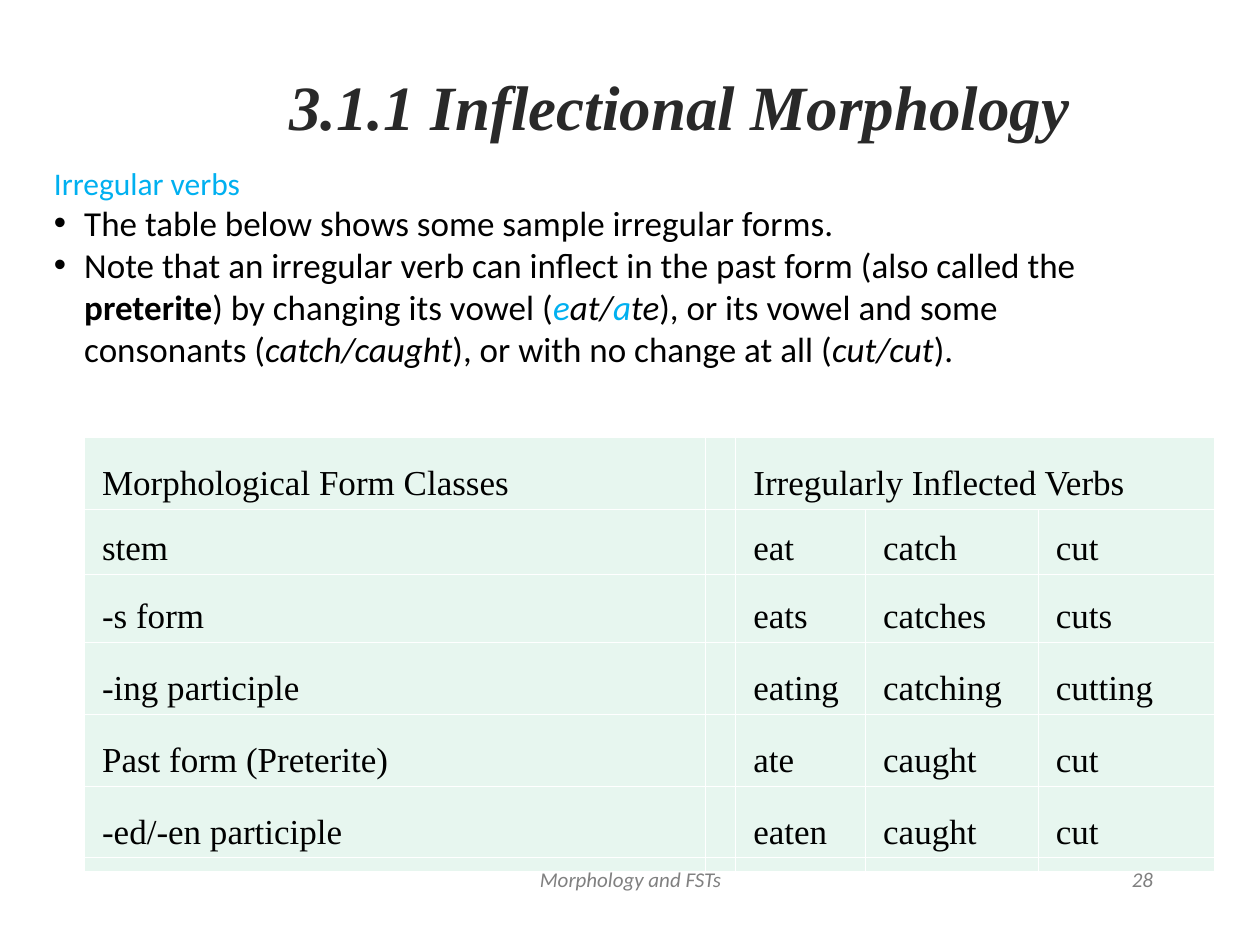
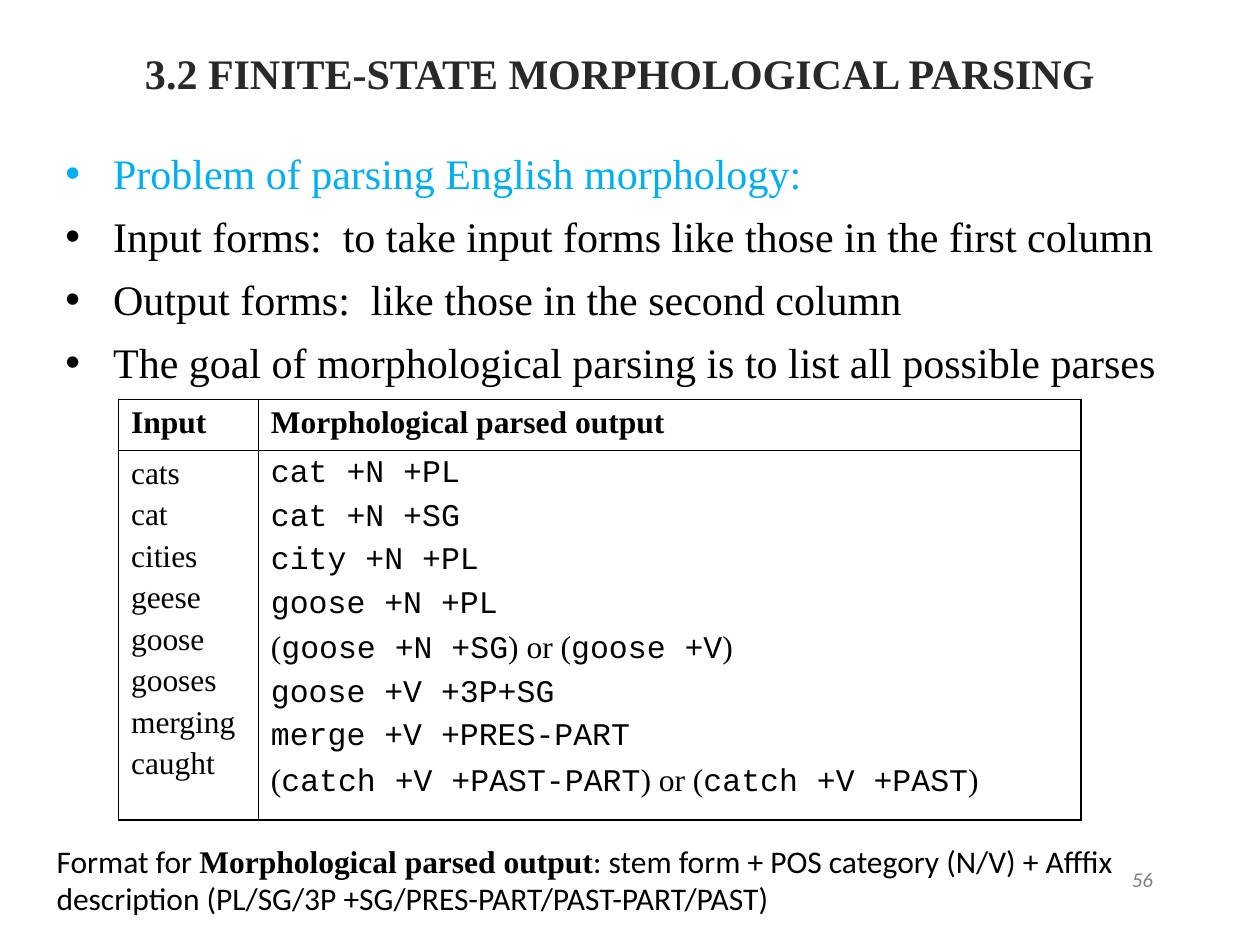
from lxml.etree import SubElement
from pptx import Presentation
from pptx.dml.color import RGBColor
from pptx.enum.text import MSO_ANCHOR as Anchor, PP_ALIGN as Align
from pptx.oxml import parse_xml
from pptx.oxml.ns import nsdecls, qn
from pptx.util import Inches, Pt

SERIF, SANS, MONO = "Times New Roman", "Calibri", "Courier New"
INK, TITLE_INK, ACCENT, FOOTER_INK = "000000", "292929", "00B0F0", "808080"
MINT, WHITE = "E7F6EF", "FFFFFF"
THIN, THICK = 0.45, 1.08
NUMBER_BOX = (7.17, 6.83, 2.08, 0.5)
FOOTER_BOX = (3.42, 6.83, 3.17, 0.5)

VERB_ROWS = [
    ["Morphological Form Classes", "", "Irregularly Inflected Verbs", "", ""],
    ["stem", "", "eat", "catch", "cut"],
    ["-s form", "", "eats", "catches", "cuts"],
    ["-ing participle", "", "eating", "catching", "cutting"],
    ["Past form (Preterite)", "", "ate", "caught", "cut"],
    ["-ed/-en participle", "", "eaten", "caught", "cut"],
    [""] * 5,
]
PARSES = [
    ("cats", ["cat +N +PL"]),
    ("cat", ["cat +N +SG"]),
    ("cities", ["city +N +PL"]),
    ("geese", ["goose +N +PL"]),
    ("goose", ["goose +N +SG", "goose +V"]),
    ("gooses", ["goose +V +3P+SG"]),
    ("merging", ["merge +V +PRES-PART"]),
    ("caught", ["catch +V +PAST-PART", "catch +V +PAST"]),
]


def rgb(value):
    return RGBColor.from_string(value)


def write(paragraph, runs, size, face=SANS, color=INK, bold=False, italic=False):
    base = dict(face=face, color=color, bold=bold, italic=italic)
    for text, changes in runs:
        look = {**base, **changes}
        run = paragraph.add_run()
        run.text = text
        run.font.size = Pt(size)
        run.font.name = look["face"]
        run.font.color.rgb = rgb(look["color"])
        run.font.bold = look["bold"]
        run.font.italic = look["italic"]


def next_paragraph(frame, space=0):
    first = frame.paragraphs[0]
    if not first.runs:
        return first
    paragraph = frame.add_paragraph()
    paragraph.space_before = Pt(space)
    return paragraph


def add_bullet(paragraph, color, indent):
    props = paragraph._p.get_or_add_pPr()
    props.set("marL", str(Inches(indent)))
    props.set("indent", str(-Inches(indent)))
    tint = SubElement(props, qn("a:buClr"))
    SubElement(tint, qn("a:srgbClr"), val=color)
    SubElement(props, qn("a:buFont"), typeface="Arial")
    SubElement(props, qn("a:buChar"), char="•")


def text_frame(slide, box, anchor=Anchor.TOP):
    frame = slide.shapes.add_textbox(*map(Inches, box)).text_frame
    frame.word_wrap = True
    frame.vertical_anchor = anchor
    return frame


def add_title(slide, box, text, size, italic=False):
    paragraph = text_frame(slide, box, Anchor.MIDDLE).paragraphs[0]
    paragraph.alignment = Align.CENTER
    write(paragraph, [(text, {})], size, SERIF, TITLE_INK, bold=True, italic=italic)


def add_footer(slide, box, text, align):
    paragraph = text_frame(slide, box).paragraphs[0]
    paragraph.alignment = align
    write(paragraph, [(text, {})], 12, color=FOOTER_INK, italic=True)


def add_grid(slide, box, widths, heights):
    table = slide.shapes.add_table(len(heights), len(widths), *map(Inches, box)).table
    table.first_row = table.horz_banding = False
    for column, width in zip(table.columns, widths):
        column.width = Inches(width)
    for row, height in zip(table.rows, heights):
        row.height = Inches(height)
    return table


def set_borders(cell, color, left, right, top, bottom):
    props = cell._tc.get_or_add_tcPr()
    sides = zip("LRTB", (left, right, top, bottom))
    for place, (side, width) in enumerate(sides):
        props.insert(place, parse_xml(
            f'<a:ln{side} {nsdecls("a")} w="{Pt(width)}"><a:solidFill>'
            f'<a:srgbClr val="{color}"/></a:solidFill></a:ln{side}>'))


def add_verb_notes(slide, box):
    frame = text_frame(slide, box)
    write(next_paragraph(frame), [("Irregular verbs", {})], 18, color=ACCENT)
    slanted, vowel = dict(italic=True), dict(italic=True, color=ACCENT)
    notes = [
        [("The table below shows some sample irregular forms.", {})],
        [("Note that an irregular verb can inflect in the past form (also called the ", {}),
         ("preterite", dict(bold=True)),
         (") by changing its vowel (", {}),
         ("e", vowel), ("at/", slanted), ("a", vowel), ("te", slanted),
         ("), or its vowel and some consonants (", {}),
         ("catch/caught", slanted),
         ("), or with no change at all (", {}),
         ("cut/cut", slanted), (").", {})],
    ]
    for note in notes:
        paragraph = next_paragraph(frame)
        add_bullet(paragraph, INK, 0.24)
        write(paragraph, note, 20)


def add_verb_table(slide, box):
    heights = [0.57, 0.52, 0.54, 0.57, 0.57, 0.57, 0.11]
    table = add_grid(slide, box, [4.93, 0.24, 1.03, 1.37, 1.4], heights)
    for r, row in enumerate(VERB_ROWS):
        for c, word in enumerate(row):
            cell = table.cell(r, c)
            cell.fill.solid()
            cell.fill.fore_color.rgb = rgb(MINT)
            set_borders(cell, WHITE, THIN, THIN, THIN, THIN)
            cell.vertical_anchor = Anchor.BOTTOM
            paragraph = cell.text_frame.paragraphs[0]
            if word:
                cell.margin_left = Inches(0.14)
                paragraph.line_spacing = Pt(11.5)
                write(paragraph, [(word, {})], 20, SERIF)
            else:
                cell.margin_top = cell.margin_bottom = 0
                paragraph.line_spacing = Pt(2)
                SubElement(paragraph._p, qn("a:endParaRPr"), sz="200")
    table.cell(0, 2).merge(table.cell(0, 4))


def add_parsing_points(slide, box):
    frame = text_frame(slide, box)
    points = [
        ("Problem of parsing English morphology:", ACCENT),
        ("Input forms:  to take input forms like those in the first column", INK),
        ("Output forms:  like those in the second column", INK),
        ("The goal of morphological parsing is to list all possible parses", INK),
    ]
    for point, color in points:
        paragraph = next_paragraph(frame, 7.2)
        add_bullet(paragraph, color, 0.38)
        write(paragraph, [(point, {})], 24, SERIF, color)


def parse_runs(parses):
    if len(parses) == 1:
        return [(parses[0], dict(face=MONO))]
    runs = [("(", {})]
    for parse in parses:
        runs += [(parse, dict(face=MONO)), (") or (", {})]
    return runs[:-1] + [(")", {})]


def add_parse_table(slide, box):
    table = add_grid(slide, box, [1.11, 6.53], [0.4, 2.94])
    for r in range(2):
        for c in range(2):
            cell = table.cell(r, c)
            cell.fill.background()
            set_borders(cell, INK, *((THICK, THIN), (THIN, THICK))[c],
                        *((THICK, THIN), (THIN, THICK))[r])
    for c, heading in enumerate(["Input", "Morphological parsed output"]):
        paragraph = table.cell(0, c).text_frame.paragraphs[0]
        write(paragraph, [(heading, {})], 18, SERIF, bold=True)
    words, outputs = (table.cell(1, c).text_frame for c in range(2))
    for word, parses in PARSES:
        write(next_paragraph(words, 3.8), [(word, {})], 18, SERIF)
        write(next_paragraph(outputs, 4.5), parse_runs(parses), 18, SERIF)


def add_format_note(slide, box):
    write(text_frame(slide, box).paragraphs[0], [
        ("Format for ", {}),
        ("Morphological parsed output", dict(face=SERIF, bold=True)),
        (": stem form + POS category (N/V) + Afffix description "
         "(PL/SG/3P +SG/PRES-PART/PAST-PART/PAST)", {}),
    ], 18)


def build_inflection_slide(slide):
    add_title(slide, (0.58, 0.21, 9.75, 1.25), "3.1.1 Inflectional Morphology ", 36, italic=True)
    add_footer(slide, FOOTER_BOX, "Morphology and FSTs", Align.CENTER)
    add_footer(slide, NUMBER_BOX, "28", Align.RIGHT)
    add_verb_table(slide, (0.67, 3.47, 8.97, 3.45))
    add_verb_notes(slide, (0.33, 1.25, 8.75, 1.74))


def build_parsing_slide(slide):
    add_title(slide, (0.67, 0.08, 8.5, 1), "3.2 FINITE-STATE MORPHOLOGICAL PARSING", 24)
    add_parsing_points(slide, (0.42, 1.12, 9.17, 2.25))
    add_footer(slide, NUMBER_BOX, "56", Align.RIGHT)
    add_parse_table(slide, (0.94, 3.17, 7.64, 3.34))
    add_format_note(slide, (0.35, 6.63, 8.82, 0.7))


def main():
    deck = Presentation()
    deck.slide_width, deck.slide_height = Inches(10), Inches(7.5)
    for build in (build_inflection_slide, build_parsing_slide):
        build(deck.slides.add_slide(deck.slide_layouts[6]))
    deck.save("out.pptx")


if __name__ == "__main__":
    main()
